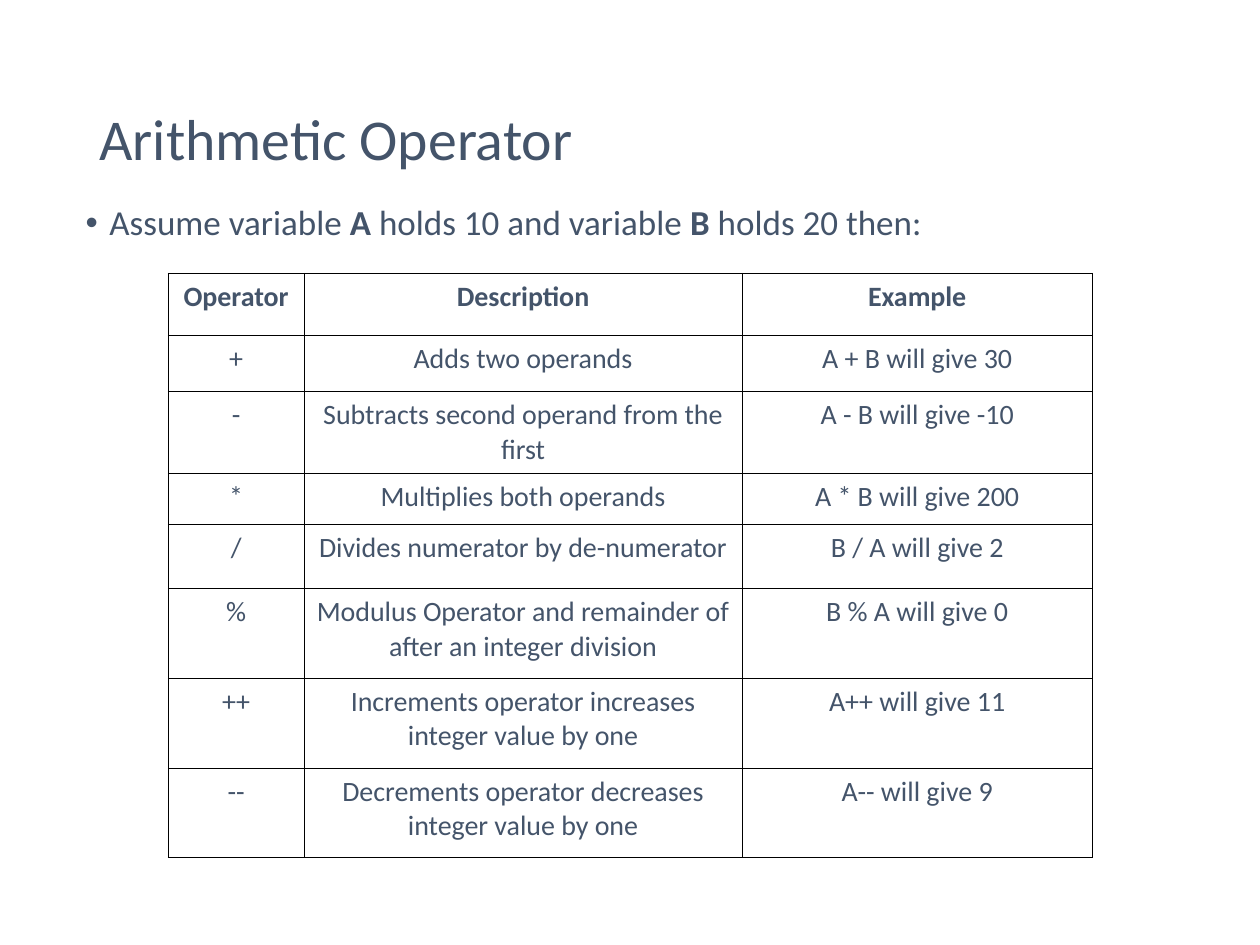
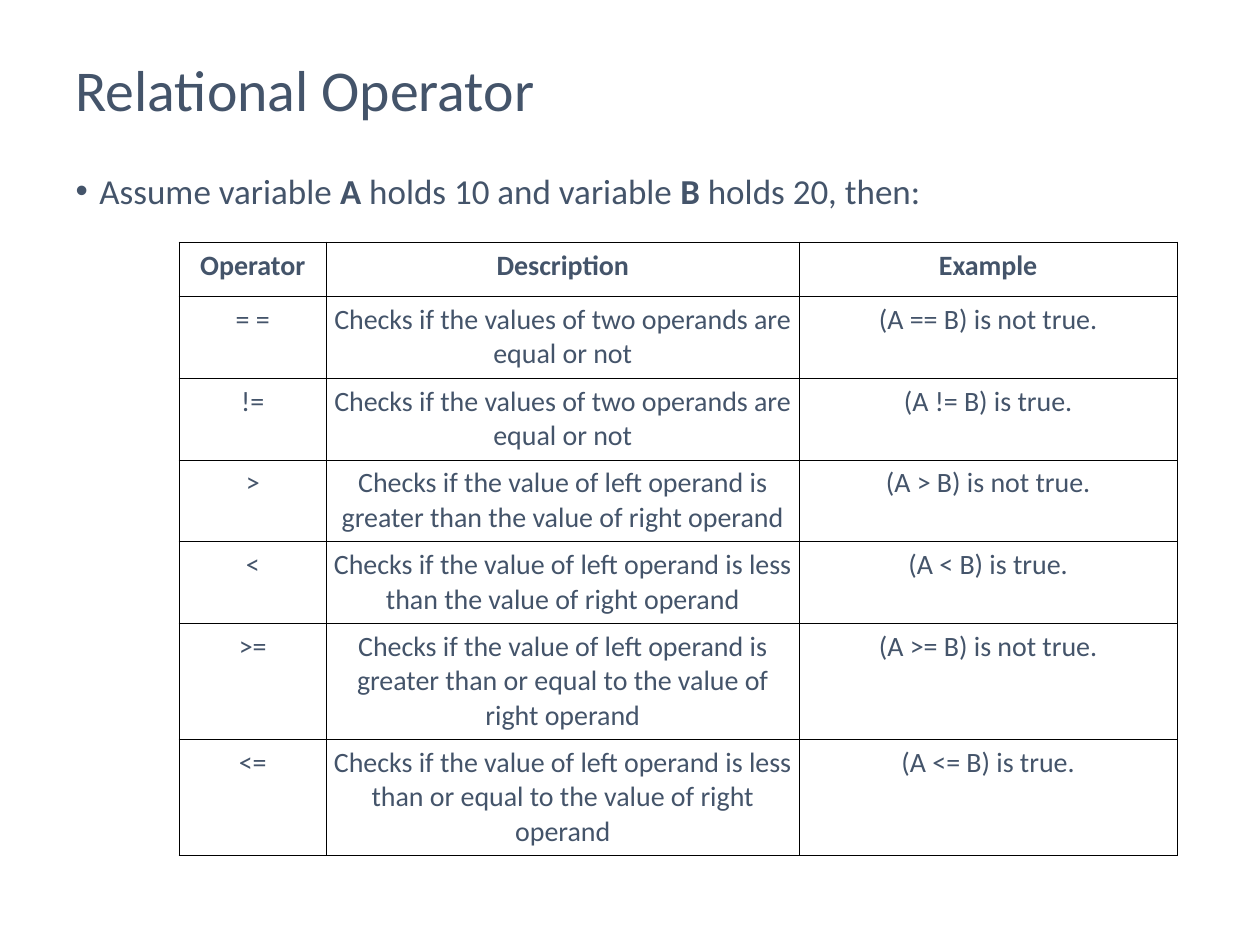
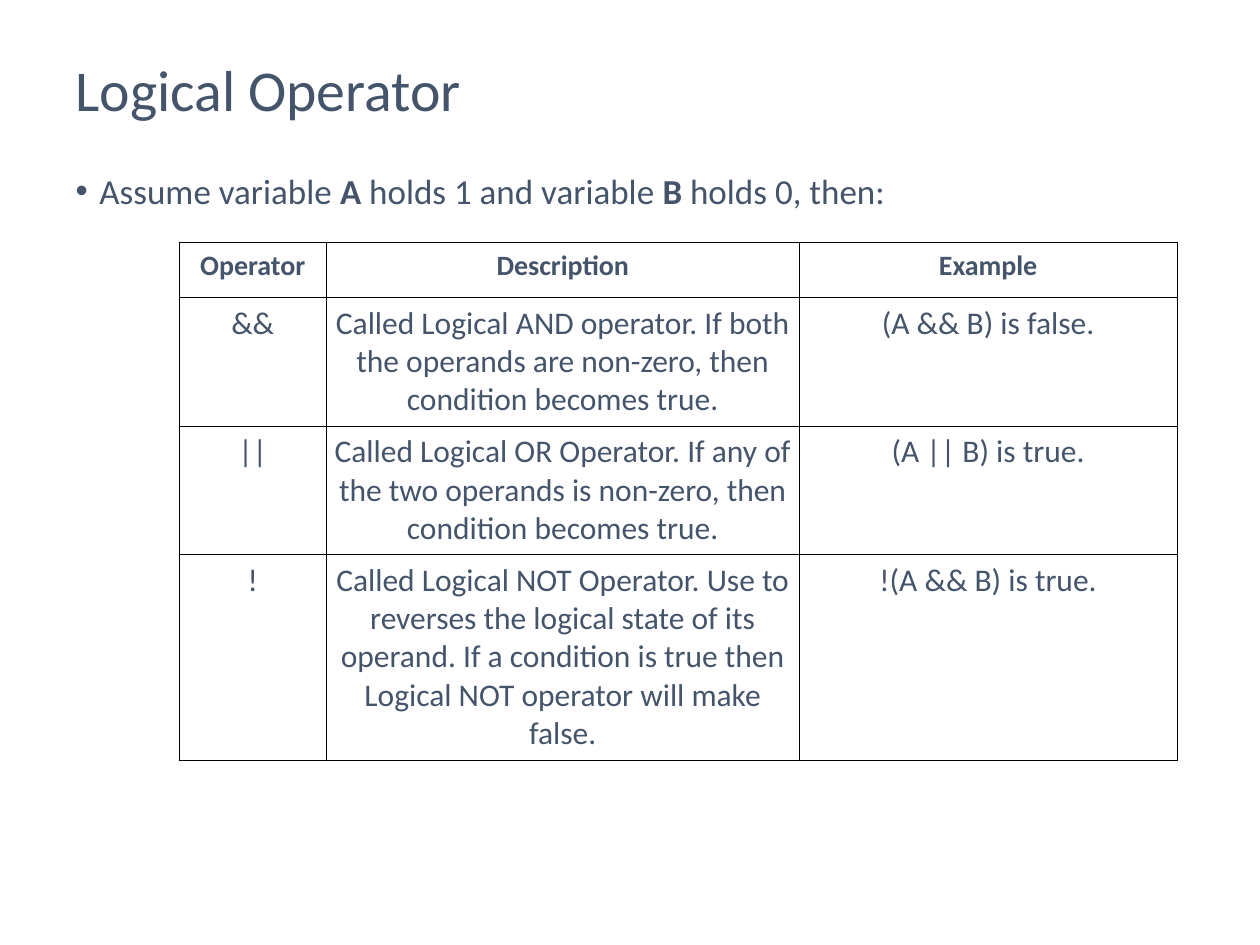
"""Build three slides that list arithmetic, relational and logical operators."""
from lxml import etree
from pptx import Presentation
from pptx.dml.color import RGBColor
from pptx.enum.text import MSO_ANCHOR, MSO_AUTO_SIZE, PP_ALIGN
from pptx.oxml.ns import qn
from pptx.util import Cm, Pt

LEFT, CENTER = PP_ALIGN.LEFT, PP_ALIGN.CENTER
TOP, MIDDLE = MSO_ANCHOR.TOP, MSO_ANCHOR.MIDDLE
NO_AUTOFIT = MSO_AUTO_SIZE.NONE
COLORS = {"text": "44546A", "border": "000000", "background": "FFFFFF"}
FONT = "Calibri"
HEADER = ("Operator", "Description", "Example")
TITLE_BOX = (1.27, 0.76, 22.86, 2.21)
BODY_BOX = (1.27, 3.38, 22.86, 13.64)
TABLE_CORNER = (3.61, 4.88)
COLUMN_WIDTHS = (2.97, 9.53, 7.62)

ARITHMETIC = [
    ("+", "Adds two operands", "A + B will give 30"),
    ("-", "Subtracts second operand from the first", "A - B will give -10"),
    ("*", "Multiplies both operands", "A * B will give 200"),
    ("/", "Divides numerator by de-numerator", "B / A will give 2"),
    ("%", "Modulus Operator and remainder of after an integer division", "B % A will give 0"),
    ("++", "Increments operator increases integer value by one", "A++ will give 11"),
    ("--", "Decrements operator decreases integer value by one", "A-- will give 9"),
]
RELATIONAL = [
    ("= =", "Checks if the values of two operands are equal or not", "(A == B) is not true."),
    ("!=", "Checks if the values of two operands are equal or not", "(A != B) is true."),
    (">", "Checks if the value of left operand is greater than the value of right operand",
     "(A > B) is not true."),
    ("<", "Checks if the value of left operand is less than the value of right operand",
     "(A < B) is true."),
    (">=", "Checks if the value of left operand is greater than or equal to the value of right operand",
     "(A >= B) is not true."),
    ("<=", "Checks if the value of left operand is less than or equal to the value of right operand",
     "(A <= B) is true."),
]
LOGICAL = [
    ("&&", "Called Logical AND operator. If both the operands are non-zero, "
     "then condition becomes true.", "(A && B) is false."),
    ("||", "Called Logical OR Operator. If any of the two operands is non-zero, "
     "then condition becomes true.", "(A || B) is true."),
    ("!", "Called Logical NOT Operator. Use to reverses the logical state of its operand. "
     "If a condition is true then Logical NOT operator will make false.", "!(A && B) is true."),
]


class OperatorDeck:
    """Hold the deck style and the slide being filled."""

    def __init__(self):
        """Start an empty deck."""
        self.deck = Presentation()
        self.deck.slide_width, self.deck.slide_height = Cm(25.4), Cm(19.05)
        self.slide = None

    def add_slide(self):
        """Start a slide with a title and a body placeholder."""
        self.slide = self.deck.slides.add_slide(self.deck.slide_layouts[1])
        fill = self.slide.background.fill
        fill.solid()
        fill.fore_color.rgb = RGBColor.from_string(COLORS["background"])

    def add_span(self, para, text, size, bold=False):
        """Add one run in the deck's font and colour."""
        span = para.add_run()
        span.text = text
        span.font.name, span.font.size, span.font.bold = FONT, Pt(size), bold
        span.font.color.rgb = RGBColor.from_string(COLORS["text"])

    def place(self, box, bounds, anchor):
        """Move a placeholder and return its first paragraph."""
        box.left, box.top, box.width, box.height = map(Cm, bounds)
        frame = box.text_frame
        frame.word_wrap, frame.auto_size = True, NO_AUTOFIT
        frame.vertical_anchor = anchor
        para = frame.paragraphs[0]
        para.alignment, para.line_spacing, para.space_before = LEFT, 0.9, Pt(0)
        return para

    def add_title(self, text, bounds=TITLE_BOX):
        """Fill the title."""
        self.add_span(self.place(self.slide.shapes.title, bounds, MIDDLE), text, 33)

    def add_assumption(self, a_value, b_value, ending, bounds=BODY_BOX):
        """Fill the body with the bullet that gives the values of A and B."""
        para = self.place(self.slide.placeholders[1], bounds, TOP)
        properties = para._p.get_or_add_pPr()
        properties.set("marL", str(Cm(0.48)))
        properties.set("indent", str(-Cm(0.48)))
        color = etree.SubElement(properties, qn("a:buClr"))
        etree.SubElement(color, qn("a:srgbClr"), val=COLORS["text"])
        etree.SubElement(properties, qn("a:buFont"), typeface="Arial")
        etree.SubElement(properties, qn("a:buChar"), char="•")
        spans = ("Assume variable ", "A", f" holds {a_value} and variable ", "B",
                 f" holds {b_value}{ending}")
        for text in spans:
            self.add_span(para, text, 20, bold=text in ("A", "B"))

    def add_borders(self, cell):
        """Draw a thin line on each side of a cell."""
        properties = cell._tc.get_or_add_tcPr()
        for side in ("lnL", "lnR", "lnT", "lnB"):
            line = etree.SubElement(properties, qn(f"a:{side}"), w=str(Pt(0.45)))
            fill = etree.SubElement(line, qn("a:solidFill"))
            etree.SubElement(fill, qn("a:srgbClr"), val=COLORS["border"])

    def add_operators(self, operators, heights, corner=TABLE_CORNER,
                      widths=COLUMN_WIDTHS, size=16, inset=0.13):
        """Add the operator table below a bold header row."""
        rows = [HEADER, *operators]
        table = self.slide.shapes.add_table(
            len(rows), len(HEADER), *map(Cm, corner), Cm(sum(widths)), Cm(sum(heights))).table
        table.first_row = table.horz_banding = False
        for column, width in zip(table.columns, widths):
            column.width = Cm(width)
        for index, (texts, height) in enumerate(zip(rows, heights)):
            table.rows[index].height = Cm(height)
            is_header = index == 0
            for cell, text in zip(table.rows[index].cells, texts):
                cell.margin_left = cell.margin_right = Cm(0.1 if is_header else inset)
                cell.margin_top = cell.margin_bottom = Cm(0.13)
                self.add_borders(cell)
                cell.fill.background()
                para = cell.text_frame.paragraphs[0]
                para.alignment = CENTER
                self.add_span(para, text, 16 if is_header else size, bold=is_header)


def main():
    """Build and save the deck."""
    deck = OperatorDeck()

    deck.add_slide()
    deck.add_title("Arithmetic Operator", (1.75, 1.02, 21.92, 3.68))
    deck.add_assumption(10, 20, " then:", (1.47, 4.01, 22.86, 15.04))
    deck.add_operators(ARITHMETIC, (1.25, 1.14, 1.63, 1.04, 1.29, 1.81, 1.81, 1.8),
                       corner=(3.39, 5.51), widths=(2.74, 8.83, 7.06), inset=0.1)

    deck.add_slide()
    deck.add_title("Relational Operator")
    deck.add_assumption(10, 20, ", then:")
    deck.add_operators(RELATIONAL, [1.09] + [1.65] * 4 + [2.34] * 2)

    deck.add_slide()
    deck.add_title("Logical Operator")
    deck.add_assumption(1, 0, ", then:")
    deck.add_operators(LOGICAL, (1.12, 2.59, 2.59, 4.14), size=18)

    deck.deck.save("out.pptx")


if __name__ == "__main__":
    main()
